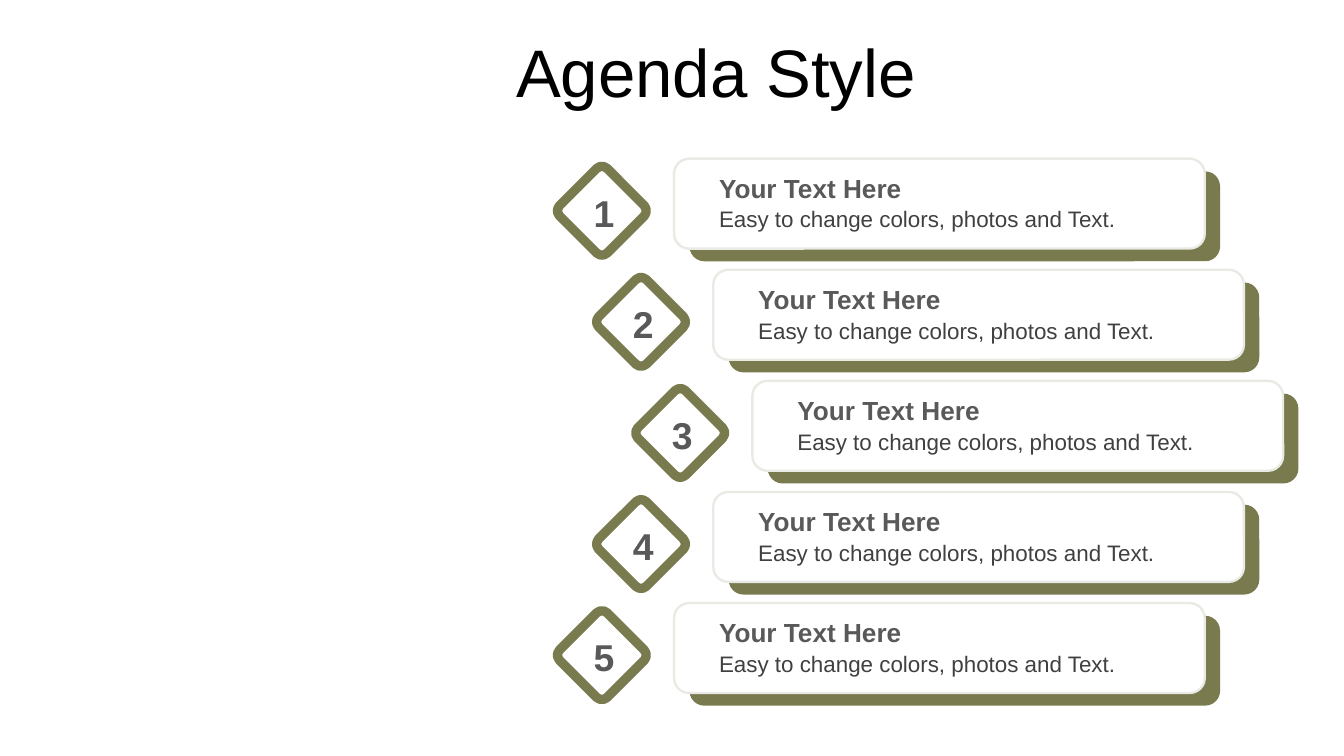
"""Build an agenda slide with five staggered, numbered entries."""
from dataclasses import dataclass

from pptx import Presentation
from pptx.dml.color import RGBColor
from pptx.enum.shapes import MSO_SHAPE
from pptx.enum.text import MSO_ANCHOR, MSO_AUTO_SIZE, PP_ALIGN
from pptx.util import Cm, Pt

ROUNDED = MSO_SHAPE.ROUNDED_RECTANGLE
MIDDLE = MSO_ANCHOR.MIDDLE
NO_FIT = MSO_AUTO_SIZE.NONE
GROW = MSO_AUTO_SIZE.SHAPE_TO_FIT_TEXT
LEFT, CENTER = PP_ALIGN.LEFT, PP_ALIGN.CENTER
TITLE_ONLY = 5


@dataclass(frozen=True)
class Theme:
    font: str = "Arial"
    olive: str = "797B4F"
    white: str = "FFFFFF"
    edge: str = "E9EAE4"
    black: str = "000000"
    heading: str = "595959"
    body: str = "404040"
    title_size: int = 36
    number_size: int = 20
    heading_size: int = 14
    body_size: int = 12


class AgendaSlide:
    def __init__(self, presentation, theme):
        self.theme = theme
        layout = presentation.slide_layouts[TITLE_ONLY]
        self.slide = presentation.slides.add_slide(layout)

    def add_text(self, shape, text, size, color, bold=False, align=LEFT):
        frame = shape.text_frame
        frame.word_wrap = True
        frame.vertical_anchor = MIDDLE
        paragraph = frame.paragraphs[0]
        paragraph.alignment = align
        run = paragraph.add_run()
        run.text = text
        run.font.name = self.theme.font
        run.font.size = Pt(size)
        run.font.bold = bold
        run.font.color.rgb = RGBColor.from_string(color)

    def title(self, text, left, top, width, height):
        shape = self.slide.shapes.title
        shape.left, shape.top = Cm(left), Cm(top)
        shape.width, shape.height = Cm(width), Cm(height)
        shape.text_frame.auto_size = NO_FIT
        self.add_text(shape, text, self.theme.title_size, self.theme.black)

    def label(self, group, text, left, top, width, height, size, color, **style):
        shape = group.shapes.add_textbox(Cm(left), Cm(top), Cm(width), Cm(height))
        self.add_text(shape, text, size, color, **style)
        shape.text_frame.auto_size = GROW

    def box(self, group, left, top, width, height, fill, line=None, line_width=0):
        shape = group.shapes.add_shape(
            ROUNDED, Cm(left), Cm(top), Cm(width), Cm(height))
        shape.shadow.inherit = False
        shape.fill.solid()
        shape.fill.fore_color.rgb = RGBColor.from_string(fill)
        if line:
            shape.line.color.rgb = RGBColor.from_string(line)
            shape.line.width = Pt(line_width)
        else:
            shape.line.fill.background()
        return shape

    def entry(self, number, heading, body, left, top):
        theme = self.theme
        group = self.slide.shapes.add_group_shape()
        group.name = f"Agenda entry {number}"
        self.box(group, left + 2.29, top + 0.24, 10.03, 1.7, theme.olive)
        self.box(group, left + 2, top, 10.03, 1.7, theme.white, theme.edge, 1.25)
        self.label(group, heading, left + 2.6, top + 0.12, 8.41, 0.86,
                   theme.heading_size, theme.heading, bold=True)
        self.label(group, body, left + 2.6, top + 0.76, 8.41, 0.76,
                   theme.body_size, theme.body)
        diamond = self.box(group, left, top + 0.35, 1.27, 1.27,
                           theme.white, theme.olive, 5)
        diamond.adjustments[0] = 0.11
        diamond.rotation = 45
        self.label(group, str(number), left + 0.23, top + 0.45, 0.84, 1.12,
                   theme.number_size, theme.heading, bold=True, align=CENTER)


def main():
    presentation = Presentation()
    presentation.slide_width, presentation.slide_height = Cm(25.4), Cm(14.29)
    agenda = AgendaSlide(presentation, Theme())
    agenda.title("Agenda Style", 9.5, 0.53, 15.9, 1.6)
    entries = [("Your Text Here", "Easy to change colors, photos and Text.")] * 5
    middle = len(entries) // 2
    for index, (heading, body) in enumerate(entries):
        indent = 0.74 * (middle - abs(index - middle))
        agenda.entry(index + 1, heading, body, 10.74 + indent, 3 + 2.1 * index)
    presentation.save("out.pptx")


if __name__ == "__main__":
    main()
